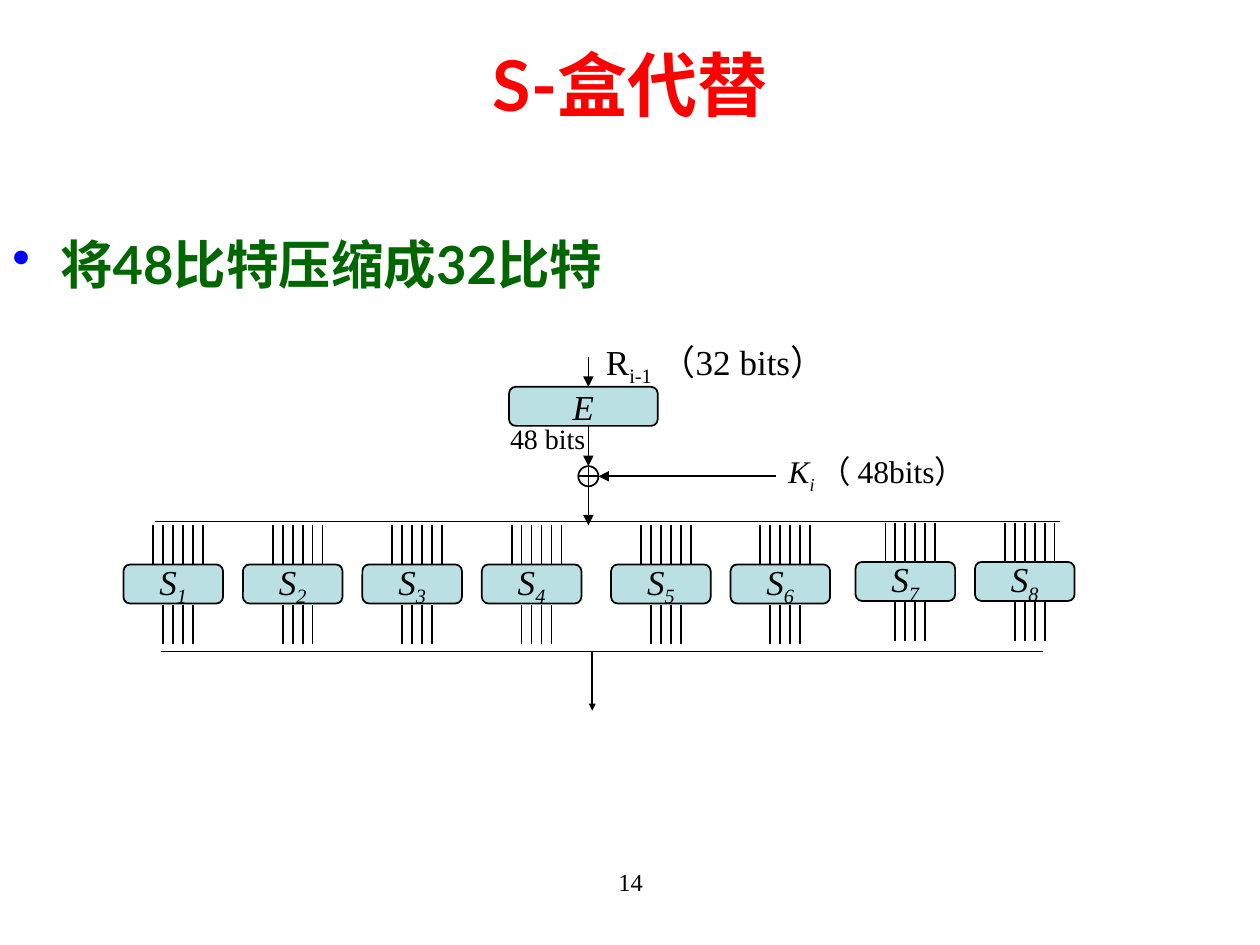
from dataclasses import dataclass

import pptx
import pptx.util
import pptx.dml.color
import pptx.enum.shapes
import pptx.enum.text
import pptx.oxml.ns
from lxml import etree
from pptx.util import Inches

ALIGN = pptx.enum.text.PP_ALIGN
ANCHOR = pptx.enum.text.MSO_ANCHOR
SHAPE = pptx.enum.shapes.MSO_SHAPE
qn = pptx.oxml.ns.qn


@dataclass(frozen=True)
class Theme:
    ink: str = "000000"
    title: str = "FF0000"
    body: str = "006600"
    bullet: str = "0000FF"
    box_fill: str = "BBE0E3"
    heading_font: str = "Lato"
    diagram_font: str = "Times New Roman"
    title_size: int = 40
    body_size: int = 30
    label_size: int = 20
    key_size: int = 18
    note_size: int = 16
    number_size: int = 14
    line_width: float = 1


@dataclass(frozen=True)
class Span:
    text: str
    size: int
    color: str = Theme.ink
    name: str = Theme.diagram_font
    bold: bool = False
    italic: bool = False
    subscript: bool = False


@dataclass(frozen=True)
class SBoxRow:
    first: int
    count: int
    left: float
    top: float


THEME = Theme()
BOX_WIDTH, BOX_HEIGHT = 0.79, 0.31
ROWS = [SBoxRow(1, 4, 0.98, 4.48), SBoxRow(5, 2, 4.85, 4.48), SBoxRow(7, 2, 6.79, 4.46)]


def rgb(value: str):
    return pptx.dml.color.RGBColor.from_string(value)


def write(para, spans: list[Span]) -> None:
    for span in spans:
        run = para.add_run()
        run.text = span.text
        formats = {"size": pptx.util.Pt(span.size), "name": span.name,
                   "bold": span.bold, "italic": span.italic}
        for key, value in formats.items():
            setattr(run.font, key, value)
        run.font.color.rgb = rgb(span.color)
        if span.subscript:
            run._r.get_or_add_rPr().set("baseline", "-25000")


def set_frame(shape, anchor, wrap: bool, align):
    frame = shape.text_frame
    formats = {"margin_left": Inches(0.1), "margin_right": Inches(0.1),
               "margin_top": Inches(0.05), "margin_bottom": Inches(0.05),
               "vertical_anchor": anchor, "word_wrap": wrap}
    for key, value in formats.items():
        setattr(frame, key, value)
    para = frame.paragraphs[0]
    para.alignment = align
    return para


def add_text(page, left: float, top: float, width: float, height: float,
             spans: list[Span], align=ALIGN.LEFT, anchor=ANCHOR.TOP):
    box = page.shapes.add_textbox(Inches(left), Inches(top), Inches(width), Inches(height))
    para = set_frame(box, anchor, True, align)
    write(para, spans)
    return para


def add_bullet(para) -> None:
    props = para._p.get_or_add_pPr()
    props.set("marL", str(Inches(0.38)))
    props.set("indent", str(Inches(-0.38)))
    color = etree.SubElement(props, qn("a:buClr"))
    etree.SubElement(color, qn("a:srgbClr")).set("val", THEME.bullet)
    etree.SubElement(props, qn("a:buChar")).set("char", "•")


def add_outline(page, kind, left: float, top: float, width: float, height: float):
    shape = page.shapes.add_shape(kind, Inches(left), Inches(top), Inches(width), Inches(height))
    shape.shadow.inherit = False
    shape.line.color.rgb = rgb(THEME.ink)
    shape.line.width = pptx.util.Pt(THEME.line_width)
    return shape


def add_box(page, left: float, top: float, width: float, spans: list[Span]) -> None:
    box = add_outline(page, SHAPE.ROUNDED_RECTANGLE, left, top, width, BOX_HEIGHT)
    box.adjustments[0] = 0.17
    box.fill.solid()
    box.fill.fore_color.rgb = rgb(THEME.box_fill)
    write(set_frame(box, ANCHOR.MIDDLE, False, ALIGN.CENTER), spans)


def add_line(page, x1: float, y1: float, x2: float, y2: float, arrow: str = "") -> None:
    line = page.shapes.add_connector(pptx.enum.shapes.MSO_CONNECTOR.STRAIGHT,
                                     Inches(x1), Inches(y1), Inches(x2), Inches(y2))
    line.line.color.rgb = rgb(THEME.ink)
    line.line.width = pptx.util.Pt(THEME.line_width)
    if arrow:
        tip = etree.SubElement(line.line._get_or_add_ln(), qn("a:tailEnd"))
        for key, value in {"type": "triangle", "w": arrow, "len": arrow}.items():
            tip.set(key, value)
    etree.SubElement(line._element.spPr, qn("a:effectLst"))


def add_sbox(page, number: int, left: float, top: float) -> None:
    """An S-box with six input wires and four output wires, a tenth of its width apart."""
    add_box(page, left, top, BOX_WIDTH,
            [Span("S", THEME.label_size, italic=True),
             Span(str(number), THEME.label_size, italic=True, subscript=True)])
    bottom = top + BOX_HEIGHT
    for slots, start in ((range(3, 9), top - BOX_HEIGHT), (range(4, 8), bottom + 0.01)):
        for slot in slots:
            x = left + slot * BOX_WIDTH / 10
            add_line(page, x, start, x, start + BOX_HEIGHT)


def main() -> None:
    deck = pptx.Presentation()
    deck.slide_width, deck.slide_height = Inches(10), Inches(7.5)
    page = deck.slides.add_slide(deck.slide_layouts[6])

    # Title, statement and page number
    add_text(page, 0, 0.33, 10, 0.67,
             [Span("S-盒代替", THEME.title_size, THEME.title, THEME.heading_font, bold=True)],
             ALIGN.CENTER, ANCHOR.MIDDLE)
    statement = add_text(page, 0, 1.62, 9.8, 0.83,
                         [Span("将48比特压缩成32比特", THEME.body_size, THEME.body,
                               THEME.heading_font, bold=True)])
    add_bullet(statement)
    statement.line_spacing = 1.35
    add_text(page, 3.42, 6.83, 3.17, 0.5, [Span("14", THEME.number_size)], ALIGN.CENTER)

    # Expansion and key mixing
    axis, xor_y, radius = 4.67, 3.78, 0.08
    add_box(page, 4.04, 3.07, 1.18, [Span("E", THEME.label_size, italic=True)])
    add_outline(page, SHAPE.OVAL, axis - radius, xor_y - radius,
                2 * radius, 2 * radius).fill.background()
    add_line(page, axis - radius, xor_y, axis + radius, xor_y)
    add_line(page, axis, xor_y - radius, axis, xor_y + radius)
    for start, end in ((2.83, 3.07), (3.38, xor_y - radius), (xor_y + radius, 4.17)):
        add_line(page, axis, start, axis, end, "med")
    add_line(page, 6.16, xor_y, axis + radius, xor_y, "med")

    # S-boxes between the input and output buses
    add_line(page, 1.23, 4.14, 8.41, 4.14)
    for row in ROWS:
        for index in range(row.count):
            add_sbox(page, row.first + index, row.left + index * 1.2 * BOX_WIDTH, row.top)
    add_line(page, 1.28, 5.17, 8.28, 5.17)
    add_line(page, 4.7, 5.17, 4.7, 5.64, "sm")

    # Diagram labels
    add_text(page, 4.71, 2.65, 2.21, 0.48,
             [Span("R", THEME.label_size), Span("i-1", THEME.label_size, subscript=True),
              Span(" （32 bits）", THEME.label_size)])
    add_text(page, 6.16, 3.54, 2, 0.44,
             [Span("K", THEME.key_size, italic=True),
              Span("i ", THEME.key_size, italic=True, subscript=True),
              Span("（ 48bits）", THEME.key_size)])
    add_text(page, 3.95, 3.3, 0.87, 0.37, [Span("48 bits", THEME.note_size)])

    deck.save("out.pptx")


if __name__ == "__main__":
    main()
